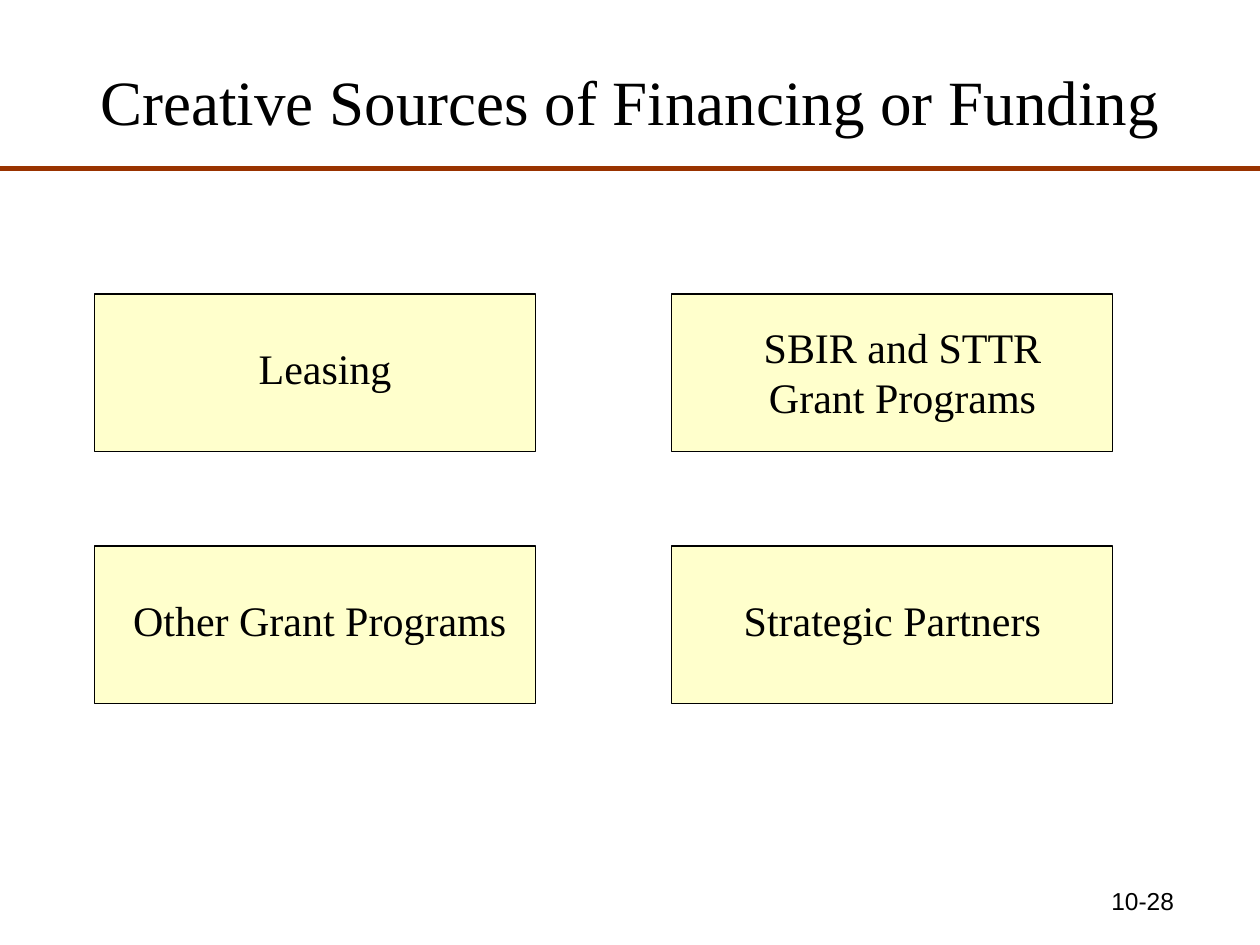
from dataclasses import dataclass

from lxml import etree
from pptx import Presentation
from pptx.dml.color import RGBColor as RGB
from pptx.enum.shapes import MSO_CONNECTOR as CONN, MSO_SHAPE as SHAPE
from pptx.enum.text import MSO_ANCHOR as ANCHOR, PP_ALIGN as ALIGN
from pptx.oxml.ns import qn
from pptx.util import Cm, Pt


@dataclass(frozen=True)
class Theme:
    ink: RGB = RGB(0x00, 0x00, 0x00)
    rule: RGB = RGB(0x99, 0x33, 0x00)
    card: RGB = RGB(0xFF, 0xFF, 0xCC)
    serif: str = "Times New Roman"
    sans: str = "Arial"
    title_pt: int = 36
    label_pt: int = 24
    number_pt: int = 14


def write(tf, text, *, size, font, color, align=ALIGN.CENTER, anchor=ANCHOR.TOP):
    """Fill a text frame with one formatted paragraph."""
    tf.word_wrap = True
    tf.vertical_anchor = anchor
    p = tf.paragraphs[0]
    p.alignment = align
    r = p.add_run()
    r.text = text
    r.font.size, r.font.name = Pt(size), font
    r.font.color.rgb = color


class Builder:
    def __init__(self, slide, theme):
        self.slide, self.theme = slide, theme

    def title(self, text, x, y, w, h):
        sp = self.slide.shapes.title
        sp.left, sp.top, sp.width, sp.height = Cm(x), Cm(y), Cm(w), Cm(h)
        write(sp.text_frame, text, size=self.theme.title_pt, font=self.theme.serif,
              color=self.theme.ink, anchor=ANCHOR.MIDDLE)

    def rule(self, x1, y, x2):
        ln = self.slide.shapes.add_connector(CONN.STRAIGHT, Cm(x1), Cm(y), Cm(x2), Cm(y))
        ln.line.color.rgb = self.theme.rule
        ln.line.width = Pt(3)
        etree.SubElement(ln._element.spPr, qn("a:effectLst"))

    def card(self, x, y, w, h):
        sp = self.slide.shapes.add_shape(SHAPE.RECTANGLE, Cm(x), Cm(y), Cm(w), Cm(h))
        sp.shadow.inherit = False
        sp.fill.solid()
        sp.fill.fore_color.rgb = self.theme.card
        sp.line.color.rgb = self.theme.ink
        sp.line.width = Pt(0.75)

    def text(self, text, x, y, w, h, **fmt):
        box = self.slide.shapes.add_textbox(Cm(x), Cm(y), Cm(w), Cm(h))
        write(box.text_frame, text, color=self.theme.ink, **fmt)


def main():
    prs = Presentation()
    prs.slide_width, prs.slide_height = Cm(25.4), Cm(19.05)
    theme = Theme()
    b = Builder(prs.slides.add_slide(prs.slide_layouts[5]), theme)

    # Heading
    b.title("Creative Sources of Financing or Funding", 1.27, 0.43, 22.86, 3.18)
    b.rule(0, 3.39, 25.4)

    # Funding sources: column, row, text, then label offset and size in the card
    left, top, step_x, step_y = 1.9, 5.93, 11.64, 5.08
    sources = [
        (1, 0, "SBIR and STTR Grant Programs", 1.48, 0.42, 6.35, 2.29),
        (0, 0, "Leasing", 1.48, 0.85, 6.35, 1.27),
        (1, 1, "Strategic Partners", 0.85, 0.85, 7.2, 1.27),
        (0, 1, "Other Grant Programs", 0.2, 0.85, 8.69, 1.27),
    ]
    for col, row, label, dx, dy, w, h in sources:
        x, y = left + col * step_x, top + row * step_y
        b.card(x, y, 8.89, 3.18)
        b.text(label, x + dx, y + dy, w, h, size=theme.label_pt, font=theme.serif)

    # Page number
    b.text("10-28", 17.99, 17.73, 5.93, 1.32, size=theme.number_pt,
           font=theme.sans, align=ALIGN.RIGHT)

    prs.save("out.pptx")


if __name__ == "__main__":
    main()
